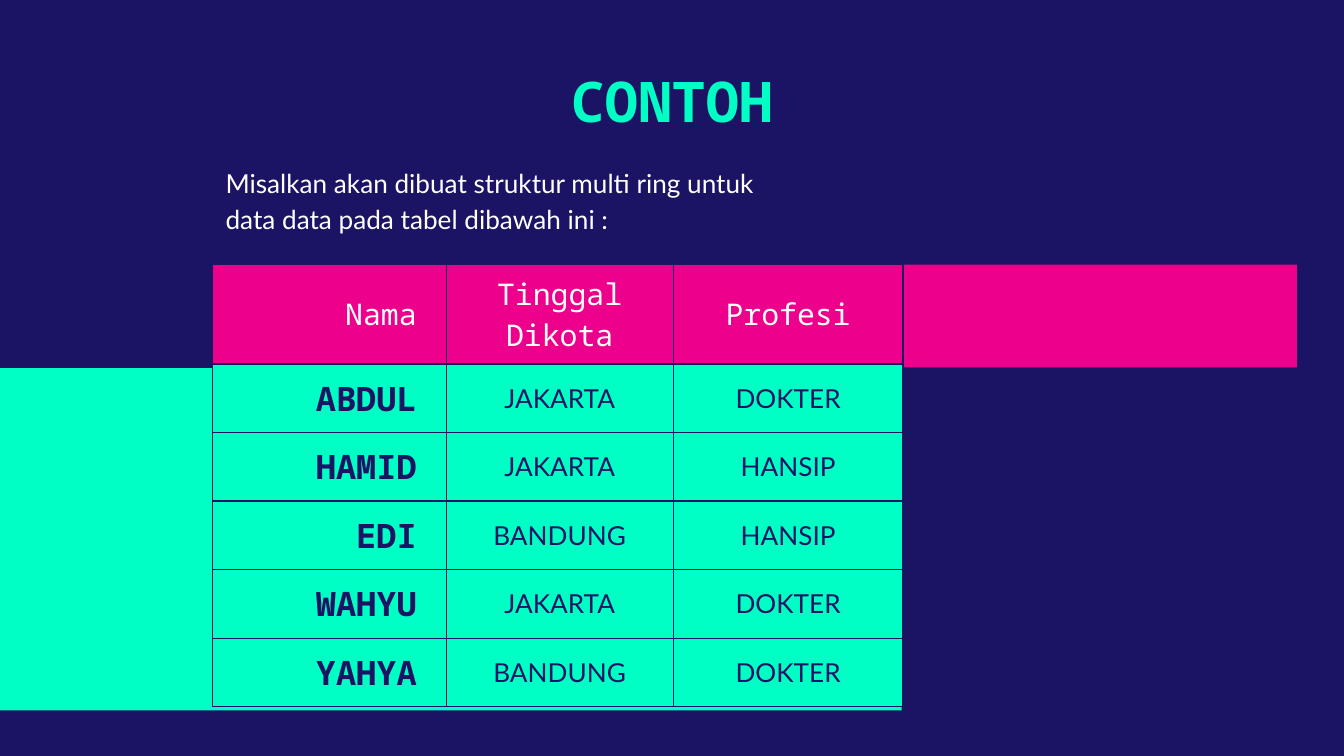
from lxml.etree import SubElement
from pptx import Presentation
from pptx.dml.color import RGBColor
from pptx.enum.shapes import MSO_SHAPE
from pptx.enum.text import MSO_ANCHOR, PP_ALIGN
from pptx.oxml.ns import qn
from pptx.util import Inches, Pt

COLORS = {"navy": "1B1464", "mint": "00FFC5", "pink": "EC008C", "white": "FFFFFF"}
MONO, SANS = "Noto Sans Mono", "Lato"
WIDE, HIGH = Inches(10), Inches(5.625)

HEAD = ["Nama", "Tinggal Dikota", "Profesi"]
PEOPLE = [
    ["ABDUL", "JAKARTA", "DOKTER"],
    ["HAMID", "JAKARTA", "HANSIP"],
    ["EDI", "BANDUNG", "HANSIP"],
    ["WAHYU", "JAKARTA", "DOKTER"],
    ["YAHYA", "BANDUNG", "DOKTER"],
]
COLS = [1.74, 1.69, 1.71]
ROWS = [0.74] + [0.51] * len(PEOPLE)


def area(left, top, width, height):
    """Turn percentages of the slide into a box."""
    return [round(part * side / 100)
            for part, side in zip((left, top, width, height), (WIDE, HIGH) * 2)]


def paint(fill, color):
    fill.solid()
    fill.fore_color.rgb = RGBColor.from_string(COLORS[color])


def write(frame, text, size, face, color, bold=False, align=PP_ALIGN.LEFT):
    para = frame.paragraphs[0]
    para.alignment = align
    run = para.add_run()
    run.text = text
    run.font.size, run.font.name, run.font.bold = Pt(size), face, bold
    run.font.color.rgb = RGBColor.from_string(COLORS[color])
    return para


def add_band(slide, box, color):
    band = slide.shapes.add_shape(MSO_SHAPE.RECTANGLE, *box)
    band.shadow.inherit = False
    paint(band.fill, color)
    band.line.fill.background()


def add_frame(slide, box, anchor):
    frame = slide.shapes.add_textbox(*box).text_frame
    frame.word_wrap = True
    frame.vertical_anchor = anchor
    frame.margin_left = frame.margin_right = Inches(0.1)
    frame.margin_top = frame.margin_bottom = Inches(0.1)
    return frame


def add_title(slide, box):
    frame = add_frame(slide, box, MSO_ANCHOR.MIDDLE)
    write(frame, "CONTOH", 30, MONO, "mint", True, PP_ALIGN.CENTER)


def add_intro(slide, box):
    frame = add_frame(slide, box, MSO_ANCHOR.TOP)
    para = write(frame, "Misalkan akan dibuat struktur multi ring untuk "
                 "data data pada tabel dibawah ini :", 14, SANS, "white")
    para.line_spacing = 1.15
    para.space_after = Pt(16)


def add_edges(cell):
    """Draw the cell's borders, which must come before its fill."""
    props = cell._tc.get_or_add_tcPr()
    for side in "LRTB":
        line = SubElement(props, qn(f"a:ln{side}"), w=str(Pt(0.75)))
        fill = SubElement(line, qn("a:solidFill"))
        SubElement(fill, qn("a:srgbClr"), val=COLORS["navy"])


def style_cell(cell, text, head, first):
    add_edges(cell)
    paint(cell.fill, "pink" if head else "mint")
    cell.vertical_anchor = MSO_ANCHOR.MIDDLE
    cell.margin_left = Inches(0.1)
    cell.margin_right = Inches(0.22 if first else 0.1)
    cell.margin_top = cell.margin_bottom = Inches(0.07)
    if head:
        style = 16, MONO, "white", False
    elif first:
        style = 18, MONO, "navy", True
    else:
        style = 14, SANS, "navy", False
    align = PP_ALIGN.RIGHT if first else PP_ALIGN.CENTER
    write(cell.text_frame, text, *style, align)


def add_people(slide, box):
    table = slide.shapes.add_table(len(ROWS), len(COLS), *box).table
    for col, share in zip(table.columns, COLS):
        col.width = round(box[2] * share / sum(COLS))
    for row, share in zip(table.rows, ROWS):
        row.height = round(box[3] * share / sum(ROWS))
    for r, texts in enumerate([HEAD] + PEOPLE):
        for c, text in enumerate(texts):
            style_cell(table.cell(r, c), text, r == 0, c == 0)


def main():
    deck = Presentation()
    deck.slide_width, deck.slide_height = WIDE, HIGH
    slide = deck.slides.add_slide(deck.slide_layouts[6])
    paint(slide.background.fill, "navy")
    add_band(slide, area(0, 48.7, 67.1, 45.3), "mint")
    add_band(slide, area(28.1, 35, 68.4, 13.6), "pink")
    add_title(slide, area(14, 6.8, 72, 13))
    add_people(slide, area(15.8, 35, 51.4, 58.5))
    add_intro(slide, area(15.8, 19.7, 44.7, 15.8))
    deck.save("out.pptx")


if __name__ == "__main__":
    main()
